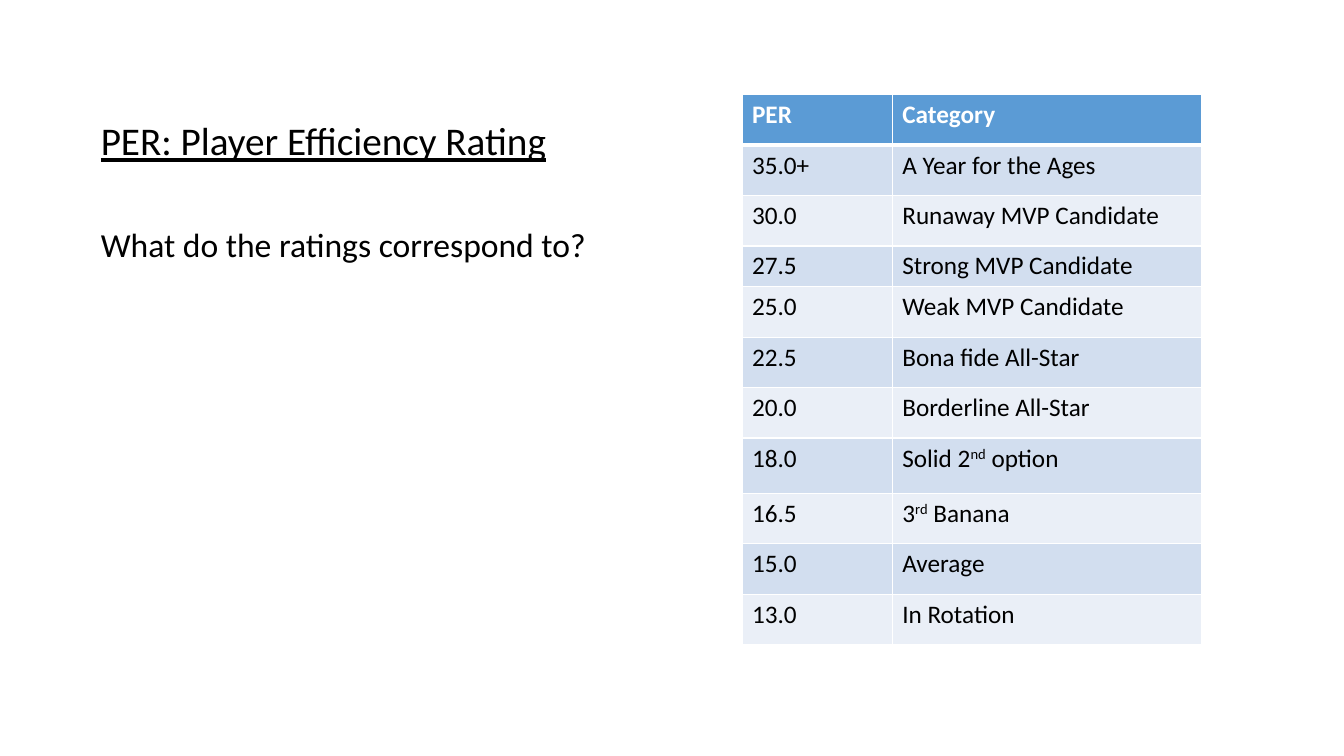
from itertools import cycle

from lxml.etree import SubElement
from pptx import Presentation
from pptx.dml.color import RGBColor as RGB
from pptx.enum.text import MSO_ANCHOR as Anchor, MSO_AUTO_SIZE as AutoSize
from pptx.oxml import parse_xml
from pptx.oxml.ns import nsdecls, qn
from pptx.util import Inches, Pt

BLACK = RGB(0x00, 0x00, 0x00)
WHITE = RGB(0xFF, 0xFF, 0xFF)
HEADER_BLUE = RGB(0x5B, 0x9B, 0xD5)
BAND_DARK = RGB(0xD2, 0xDE, 0xEF)
BAND_LIGHT = RGB(0xEA, 0xEF, 0xF7)

STATEMENTS = [
    ("PER: Player Efficiency Rating", 28, 0, True),
    ("What do the ratings correspond to?", 24, 46, False),
]
RATINGS = [
    ("PER", "Category"),
    ("35.0+", "A Year for the Ages"),
    ("30.0", "Runaway MVP Candidate"),
    ("27.5", "Strong MVP Candidate"),
    ("25.0", "Weak MVP Candidate"),
    ("22.5", "Bona fide All-Star"),
    ("20.0", "Borderline All-Star"),
    ("18.0", "Solid 2^nd^ option"),
    ("16.5", "3^rd^ Banana"),
    ("15.0", "Average"),
    ("13.0", "In Rotation"),
]
COLUMN_SHARES = (11.18, 23.03)
ROW_SHARE = 6.67
SPECIAL_ROW_SHARES = {"27.5": 5.33, "18.0": 7.33}


class RatingSlide:
    """Hold the text style and the slide, with lengths in percent of its size."""

    font_name = "Calibri"
    table_size = 18

    def __init__(self, deck):
        self.width, self.height = deck.slide_width, deck.slide_height
        self.slide = deck.slides.add_slide(deck.slide_layouts[1])
        heading = self.slide.shapes.title.element
        heading.getparent().remove(heading)

    def across(self, share):
        return round(self.width * share / 100)

    def down(self, share):
        return round(self.height * share / 100)

    def style(self, run, size, color, bold=False, underline=False):
        font = run.font
        font.name, font.size, font.bold = self.font_name, Pt(size), bold
        font.underline = underline
        font.color.rgb = color

    def body(self, left, top, width, height, inset, statements):
        body = self.slide.placeholders[1]
        body.left, body.top = self.across(left), self.down(top)
        body.width, body.height = self.across(width), self.down(height)
        frame = body.text_frame
        frame.text = "\n".join(statement[0] for statement in statements)
        frame.auto_size, frame.vertical_anchor = AutoSize.NONE, Anchor.TOP
        frame.margin_top = self.down(inset)
        for paragraph, (_, size, before, underline) in zip(frame.paragraphs, statements):
            paragraph.line_spacing, paragraph.space_before = 0.9, Pt(before)
            properties = paragraph._p.get_or_add_pPr()
            properties.set("marL", "0")
            properties.set("indent", "0")
            SubElement(properties, qn("a:buNone"))
            self.style(paragraph.runs[0], size, BLACK, underline=underline)

    def borders(self, cell, top, bottom):
        properties = cell._tc.get_or_add_tcPr()
        sides = (("lnL", 1), ("lnR", 1), ("lnT", top), ("lnB", bottom))
        for place, (side, points) in enumerate(sides):
            properties.insert(place, parse_xml(
                f'<a:{side} {nsdecls("a")} w="{Pt(points)}"><a:solidFill>'
                f'<a:srgbClr val="{WHITE}"/></a:solidFill></a:{side}>'))

    def cell(self, cell, wording, fill, color, bold):
        cell.fill.solid()
        cell.fill.fore_color.rgb = fill
        paragraph = cell.text_frame.paragraphs[0]
        for part, words in enumerate(wording.split("^")):
            run = paragraph.add_run()
            run.text = words
            self.style(run, self.table_size, color, bold)
            if part % 2:
                run._r.get_or_add_rPr().set("baseline", "30000")

    def table(self, left, top, column_shares, ratings):
        row_shares = [SPECIAL_ROW_SHARES.get(rating[0], ROW_SHARE) for rating in ratings]
        grid = self.slide.shapes.add_table(
            len(ratings), len(column_shares), self.across(left), self.down(top),
            self.across(sum(column_shares)), self.down(sum(row_shares))).table
        for column, share in zip(grid.columns, column_shares):
            column.width = self.across(share)
        bands = cycle((BAND_LIGHT, BAND_DARK))
        for index, (row, share, rating, band) in enumerate(
                zip(grid.rows, row_shares, ratings, bands)):
            row.height = self.down(share)
            header = index == 0
            fill, color = (HEADER_BLUE, WHITE) if header else (band, BLACK)
            for cell, wording in zip(row.cells, rating):
                self.cell(cell, wording, fill, color, header)
                self.borders(cell, 3 if index == 1 else 1, 3 if header else 1)


def main():
    deck = Presentation()
    deck.slide_width, deck.slide_height = Inches(13.33), Inches(7.5)
    rating_slide = RatingSlide(deck)
    rating_slide.body(6.75, 7.73, 86.25, 84.67, 8.4, STATEMENTS)
    rating_slide.table(55.21, 12.53, COLUMN_SHARES, RATINGS)
    deck.save("out.pptx")


if __name__ == "__main__":
    main()
